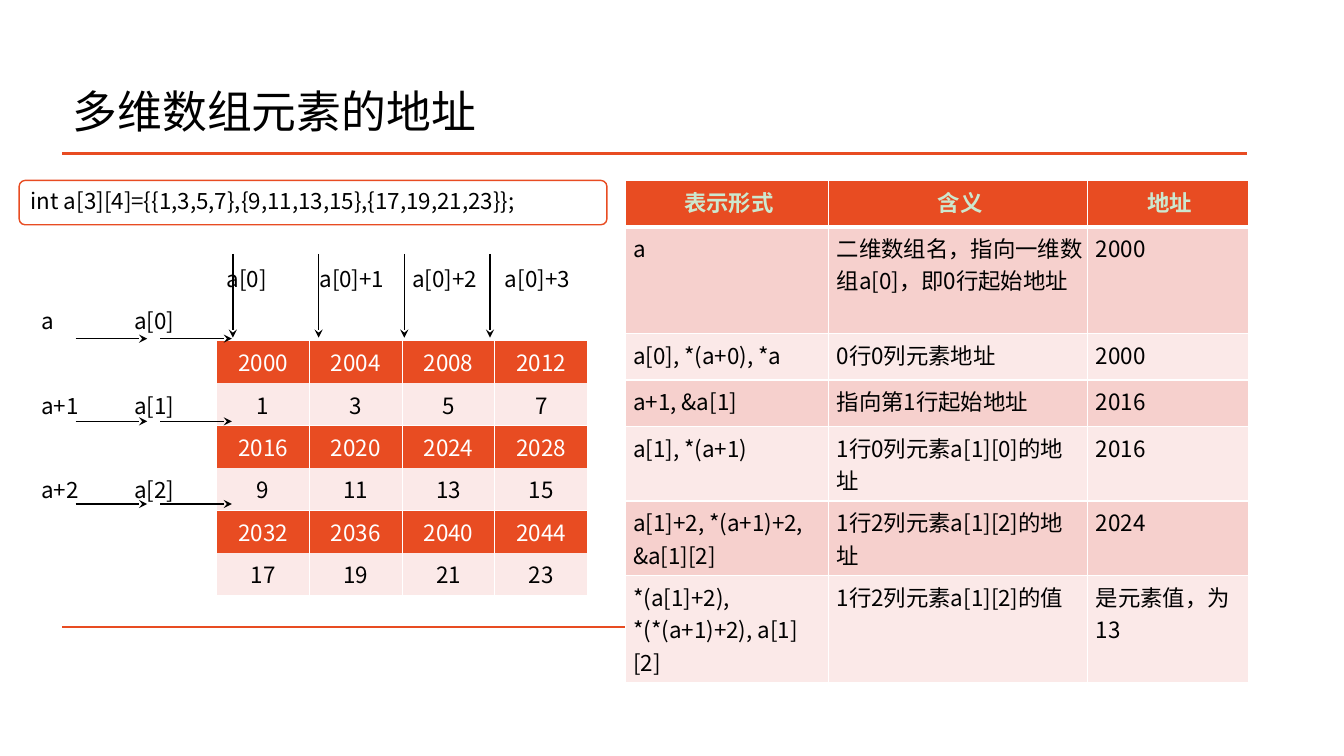
from lxml.etree import SubElement
from pptx import Presentation
from pptx.dml.color import RGBColor
from pptx.enum.shapes import MSO_CONNECTOR as Connector, MSO_SHAPE as Shape
from pptx.enum.text import MSO_ANCHOR as Anchor, MSO_AUTO_SIZE as AutoSize, PP_ALIGN as Align
from pptx.oxml.ns import qn
from pptx.util import Inches, Pt

FONT = "Noto Sans CJK SC"
BLACK = RGBColor(0x00, 0x00, 0x00)
WHITE = RGBColor(0xFF, 0xFF, 0xFF)
ORANGE = RGBColor(0xE8, 0x4C, 0x22)
MINT = RGBColor(0xCC, 0xE8, 0xCF)
PINK = RGBColor(0xF6, 0xD0, 0xCD)
PALE = RGBColor(0xFB, 0xE9, 0xE8)

NO_GRID_STYLE = "{2D5ABB26-0587-4C30-8999-92F81FD0307C}"
ARRAY_VALUES = [[1, 3, 5, 7], [9, 11, 13, 15], [17, 19, 21, 23]]
BASE_ADDRESS, INT_SIZE = 2000, 4
MEANINGS = [
    ("表示形式", "含义", "地址"),
    ("a", "二维数组名，指向一维数组a[0]，即0行起始地址", "2000"),
    ("a[0], *(a+0), *a", "0行0列元素地址", "2000"),
    ("a+1, &a[1]", "指向第1行起始地址", "2016"),
    ("a[1], *(a+1)", "1行0列元素a[1][0]的地址", "2016"),
    ("a[1]+2, *(a+1)+2, &a[1][2]", "1行2列元素a[1][2]的地址", "2024"),
    ("*(a[1]+2), *(*(a+1)+2), a[1][2]", "1行2列元素a[1][2]的值", "是元素值，为13"),
]


def write(text_frame, text, size=16, color=BLACK, bold=False, align=Align.LEFT):
    """Write one formatted run into the first paragraph."""
    paragraph = text_frame.paragraphs[0]
    paragraph.alignment = align
    run = paragraph.add_run()
    run.text = text
    run.font.size = Pt(size)
    run.font.bold = bold
    run.font.color.rgb = color
    run.font.name = FONT
    SubElement(run.font._element, qn("a:ea"), typeface=FONT)
    return paragraph


def add_title(slide, text):
    """Fill and place the title placeholder."""
    title = slide.shapes.title
    title.left, title.top = Inches(0.62), Inches(0.61)
    title.width, title.height = Inches(11.5), Inches(1.04)
    title.text_frame.auto_size = AutoSize.NONE
    title.text_frame.vertical_anchor = Anchor.MIDDLE
    write(title.text_frame, text, 32).line_spacing = 0.9


def add_line(slide, start, end, color=BLACK, width=1, arrow=True):
    """Draw a straight line, with an arrowhead at its end if wanted."""
    line = slide.shapes.add_connector(
        Connector.STRAIGHT, *(Inches(length) for length in (*start, *end)))
    line.line.color.rgb = color
    line.line.width = Pt(width)
    if arrow:
        SubElement(line.line._get_or_add_ln(), qn("a:tailEnd"), type="stealth")
    SubElement(line._element.spPr, qn("a:effectLst"))


def add_code_box(slide, code):
    """Draw the rounded box that holds the declaration."""
    box = slide.shapes.add_shape(
        Shape.ROUNDED_RECTANGLE, Inches(0.19), Inches(1.79), Inches(5.83), Inches(0.44))
    box.shadow.inherit = False
    box.adjustments[0] = 0.136
    box.fill.solid()
    box.fill.fore_color.rgb = WHITE
    box.line.color.rgb = ORANGE
    box.line.width = Pt(1)
    box.text_frame.word_wrap = True
    box.text_frame.vertical_anchor = Anchor.TOP
    write(box.text_frame, code)


def add_table(slide, left, top, widths, heights):
    """Add a table without style and return it."""
    frame = slide.shapes.add_table(
        len(heights), len(widths), Inches(left), Inches(top),
        Inches(sum(widths)), Inches(sum(heights)))
    table = frame.table
    table.first_row = table.horz_banding = False
    table._tbl.tblPr.find(qn("a:tableStyleId")).text = NO_GRID_STYLE
    for column, width in zip(table.columns, widths):
        column.width = Inches(width)
    for row, height in zip(table.rows, heights):
        row.height = Inches(height)
    return table


def paint_cell(cell, color, borders):
    """Give a cell its white borders, listed by side and width, and its fill."""
    properties = cell._tc.get_or_add_tcPr()
    for side, width in borders.items():
        border = SubElement(properties, qn(f"a:ln{side}"), w=str(Pt(width)))
        fill = SubElement(border, qn("a:solidFill"))
        SubElement(fill, qn("a:srgbClr"), val=str(WHITE))
    cell.fill.solid()
    cell.fill.fore_color.rgb = color


def add_memory_table(slide):
    """Show the addresses and values of the array with their pointer names."""
    table = add_table(slide, 0.31, 2.54, [0.92] * 6, [0.42] * 8)

    def label(row, column, text, **style):
        cell = table.cell(row, column)
        cell.vertical_anchor = Anchor.MIDDLE
        write(cell.text_frame, text, **style)
        return cell

    for index in range(4):
        label(0, index + 2, f"a[0]+{index}" if index else "a[0]")
    for index, values in enumerate(ARRAY_VALUES):
        label(2 * index + 1, 0, f"a+{index}" if index else "a")
        label(2 * index + 1, 1, f"a[{index}]")
        for position, value in enumerate(values):
            address = BASE_ADDRESS + INT_SIZE * (index * len(values) + position)
            row, column = 2 * index + 2, position + 2
            cell = label(row, column, str(address), color=WHITE, align=Align.CENTER)
            paint_cell(cell, ORANGE, {"L": 1, "R": 1})
            cell = label(row + 1, column, str(value), align=Align.CENTER)
            paint_cell(cell, PALE, {"L": 1, "R": 1, "B": 1})


def add_pointer_arrows(slide):
    """Draw the arrows that point at the columns and rows of the array."""
    for index in range(4):
        x = 2.31 + 0.85 * index
        add_line(slide, (x, 2.52), (x, 3.35))
    for index in range(3):
        y = 3.36 + 0.82 * index
        for x in (0.75, 1.59):
            add_line(slide, (x, y), (x + 0.71, y))


def add_meaning_table(slide):
    """List the expressions with their meaning and address."""
    heights = [0.46, 0.72, 0.46, 0.46, 0.46, 0.72, 0.72]
    table = add_table(slide, 6.2, 1.79, [2.02, 2.57, 1.59], heights)
    for row, texts in enumerate(MEANINGS):
        header = row == 0
        fill = ORANGE if header else PINK if row % 2 else PALE
        for column, text in enumerate(texts):
            cell = table.cell(row, column)
            cell.margin_left, cell.margin_right = Inches(0.08), Inches(0.04)
            write(cell.text_frame, text, color=MINT if header else BLACK,
                  bold=header, align=Align.CENTER if header else Align.LEFT)
            top = 3 if row == 1 else 1
            paint_cell(cell, fill, {"L": 1, "R": 1, "T": top, "B": 3 if header else 1})


def main():
    """Build the slide and save it."""
    presentation = Presentation()
    presentation.slide_width, presentation.slide_height = Inches(13.33), Inches(7.5)
    slide = presentation.slides.add_slide(presentation.slide_layouts[5])
    slide.background.fill.solid()
    slide.background.fill.fore_color.rgb = WHITE
    add_title(slide, "多维数组元素的地址")
    for y in (1.52, 6.22):
        add_line(slide, (0.62, y), (12.37, y), ORANGE, 2, arrow=False)
    add_memory_table(slide)
    add_pointer_arrows(slide)
    add_code_box(slide, "int a[3][4]={{1,3,5,7},{9,11,13,15},{17,19,21,23}};")
    add_meaning_table(slide)
    presentation.save("out.pptx")


if __name__ == "__main__":
    main()
